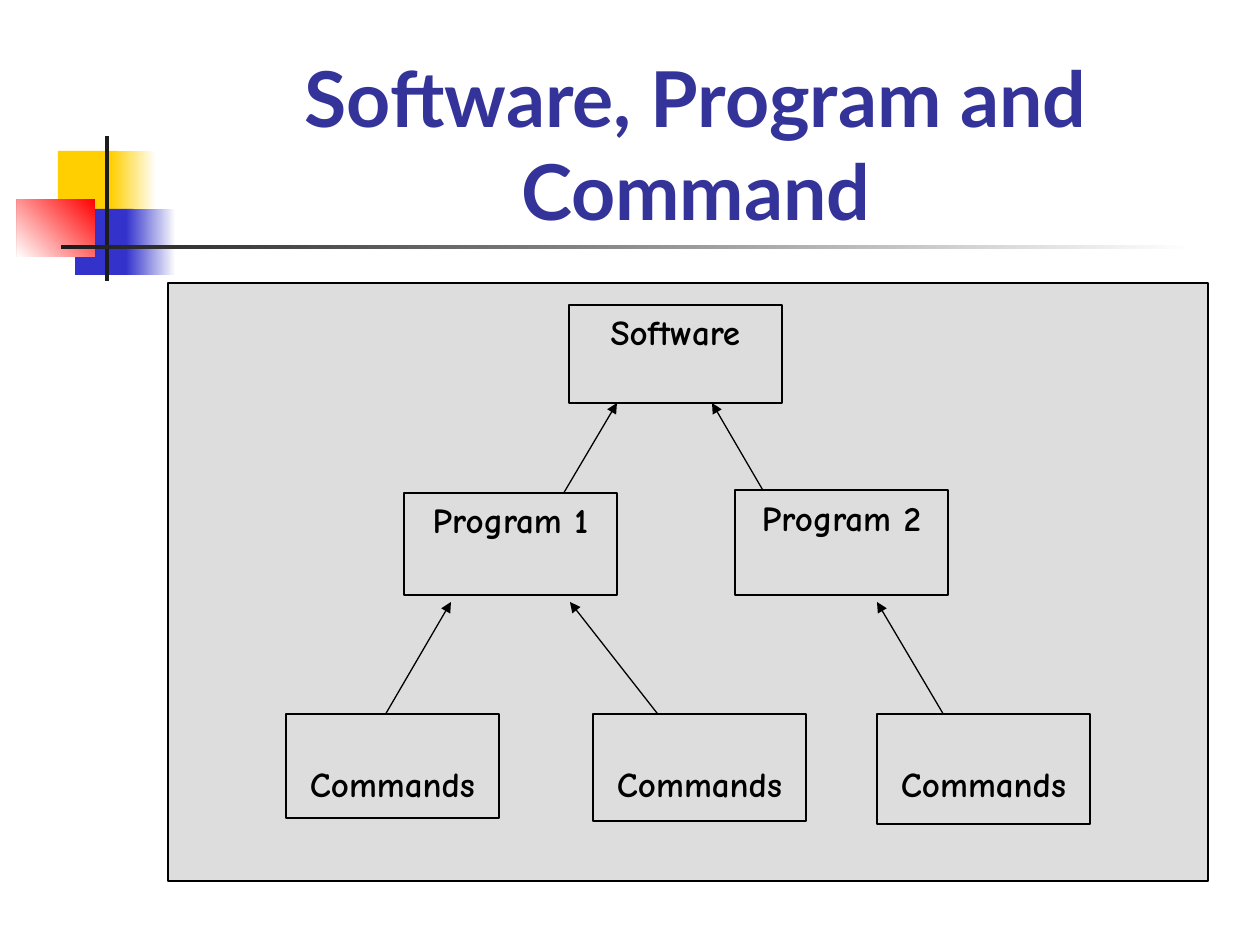
import pptx
import pptx.dml.color
import pptx.enum.dml
import pptx.enum.shapes
import pptx.enum.text
import pptx.oxml.ns
import pptx.util
from lxml import etree

EMU_PER_PX = 914400 / 126
COLORS = {
    "title": "333399", "panel": "DDDDDD", "ink": "000000",
    "yellow": "FFCF01", "blue": "3333CC", "red": "FF0000",
    "bar": "1C1C1C", "white": "FFFFFF",
}
BOX_WIDTH = 213
TEXT_TOP = 6
LOWERED_TEXT_TOP = 48

NODES = [  # label, left, top, height, space above the text
    ("Software", 569, 305, 98, TEXT_TOP),
    ("Program 2", 735, 490, 105, TEXT_TOP),
    ("Program 1", 404, 493, 102, TEXT_TOP),
    ("Commands", 286, 714, 104, LOWERED_TEXT_TOP),
    ("Commands", 593, 714, 107, LOWERED_TEXT_TOP),
    ("Commands", 877, 714, 110, LOWERED_TEXT_TOP),
]
ARROWS = [  # start x, start y, end x, end y
    (381, 722, 451, 602),
    (664, 722, 570, 602),
    (948, 722, 877, 602),
    (546, 523, 617, 403),
    (782, 523, 712, 403),
]


def px(length):
    return pptx.util.Emu(round(length * EMU_PER_PX))


def rgb(name):
    return pptx.dml.color.RGBColor.from_string(COLORS[name])


def add_rect(slide, left, top, width, height):
    rect = slide.shapes.add_shape(
        pptx.enum.shapes.MSO_SHAPE.RECTANGLE,
        px(left), px(top), px(width), px(height))
    rect.shadow.inherit = False
    rect.line.fill.background()
    return rect


def add_solid(slide, color, *bounds):
    rect = add_rect(slide, *bounds)
    rect.fill.solid()
    rect.fill.fore_color.rgb = rgb(color)
    return rect


def add_fade(slide, start, end, angle, *bounds):
    """Add a borderless gradient; angle runs counter-clockwise."""
    rect = add_rect(slide, *bounds)
    rect.fill.gradient()
    rect.fill.gradient_angle = angle
    for stop, color, position in zip(rect.fill.gradient_stops, (start, end), (0, 1)):
        stop.color.rgb = rgb(color)
        stop.position = position


def add_outlined(slide, *bounds):
    rect = add_solid(slide, "panel", *bounds)
    rect.line.color.rgb = rgb("ink")
    rect.line.width = pptx.util.Pt(0.75)
    return rect


def write_centered(frame, text, font_name, size, color):
    paragraph = frame.paragraphs[0]
    paragraph.alignment = pptx.enum.text.PP_ALIGN.CENTER
    run = paragraph.add_run()
    run.text = text
    run.font.name = font_name
    run.font.size = pptx.util.Pt(size)
    run.font.bold = True
    run.font.color.rgb = rgb(color)


def add_node(slide, label, left, top, height, text_top):
    frame = add_outlined(slide, left, top, BOX_WIDTH, height).text_frame
    frame.word_wrap = True
    frame.vertical_anchor = pptx.enum.text.MSO_ANCHOR.TOP
    frame.margin_top = px(text_top)
    write_centered(frame, label, "Comic Neue", 20, "ink")


def add_arrow(slide, *ends):
    arrow = slide.shapes.add_connector(
        pptx.enum.shapes.MSO_CONNECTOR.STRAIGHT, *map(px, ends))
    arrow.line.color.rgb = rgb("ink")
    arrow.line.width = pptx.util.Pt(0.75)
    qn = pptx.oxml.ns.qn
    properties = arrow._element.spPr
    etree.SubElement(properties.find(qn("a:ln")), qn("a:tailEnd"), type="triangle")
    etree.SubElement(properties, qn("a:effectLst"))


def add_ornament(slide):
    add_solid(slide, "yellow", 58, 151, 60, 66)
    add_fade(slide, "white", "yellow", 180, 111, 151, 45, 66)
    add_solid(slide, "blue", 75, 209, 58, 66)
    add_fade(slide, "white", "blue", 180, 126, 209, 50, 66)
    add_fade(slide, "red", "white", 225, 17, 199, 78, 58)
    add_solid(slide, "bar", 105, 136, 4, 145)
    add_fade(slide, "white", "bar", 180, 61, 245, 1134, 4)


def set_title(slide, text):
    title = slide.shapes.title
    title.left, title.top, title.width, title.height = map(px, (159, 84, 1074, 158))
    frame = title.text_frame
    frame.word_wrap = True
    frame.auto_size = pptx.enum.text.MSO_AUTO_SIZE.NONE
    frame.vertical_anchor = pptx.enum.text.MSO_ANCHOR.BOTTOM
    write_centered(frame, text, "Lato", 44, "title")


def main():
    deck = pptx.Presentation()
    deck.slide_width, deck.slide_height = px(1260), px(945)
    slide = deck.slides.add_slide(deck.slide_layouts.get_by_name("Title Only"))
    add_ornament(slide)
    set_title(slide, "Software, Program and Command")
    add_outlined(slide, 168, 283, 1040, 598)
    # Arrows come first so that the boxes cover their starting points.
    for ends in ARROWS:
        add_arrow(slide, *ends)
    for node in NODES:
        add_node(slide, *node)
    deck.save("out.pptx")


if __name__ == "__main__":
    main()
